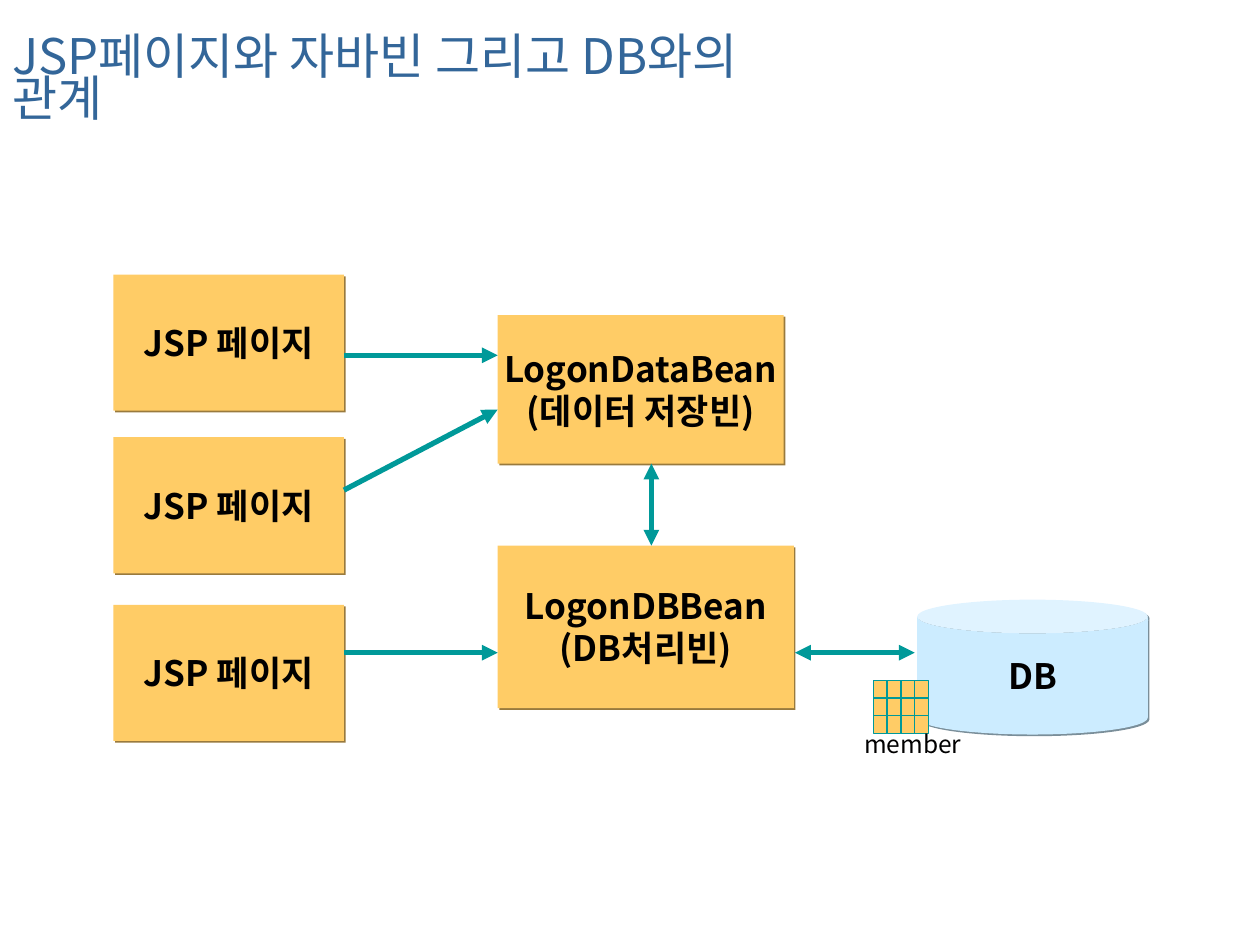
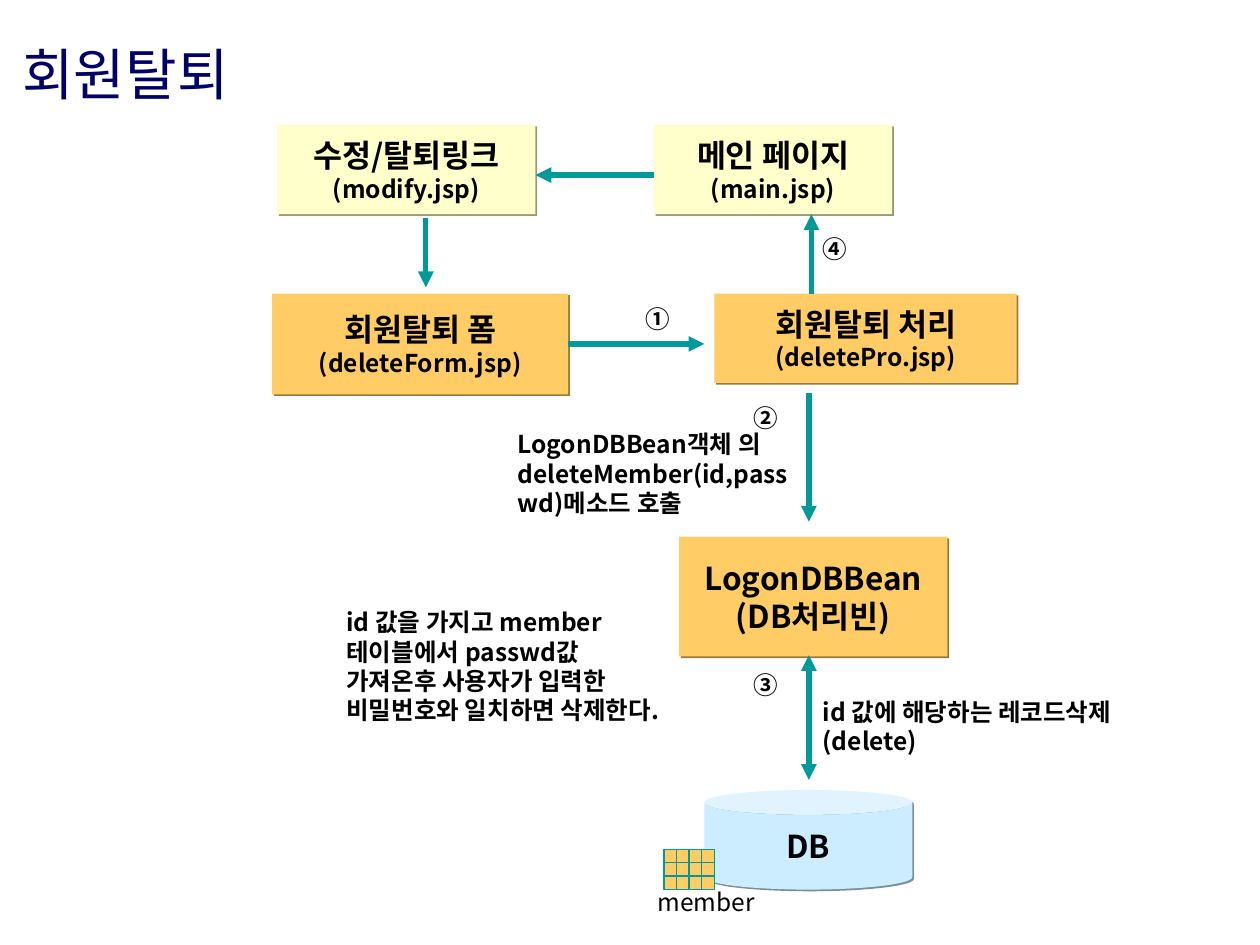
from dataclasses import dataclass
from itertools import product
from typing import NamedTuple

from lxml.etree import SubElement
from pptx import Presentation
from pptx.dml.color import RGBColor
from pptx.enum.shapes import MSO_CONNECTOR, MSO_SHAPE
from pptx.enum.text import MSO_ANCHOR, PP_ALIGN
from pptx.oxml.ns import qn
from pptx.util import Inches, Pt


@dataclass(frozen=True)
class Theme:
    font: str = "Noto Sans CJK KR"
    ink: str = "010000"
    teal: str = "009999"
    orange: str = "FFCC66"
    cream: str = "FFFFCC"
    sky: str = "CCECFF"
    steel_blue: str = "336699"
    navy: str = "000066"
    overview_title: int = 28
    flow_title: int = 32
    overview_label: int = 20
    flow_label: int = 18
    small: int = 14
    title_spacing: float = 0.7
    arrow_width: float = 3
    grid_width: float = 0.75
    shadow_offset: float = 1.4
    shadow_shade: float = 0.6


THEME = Theme()
SIDE_RIGHT = 3


class Area(NamedTuple):
    left: float
    top: float
    width: float
    height: float

    def lengths(self) -> list:
        return [Inches(value) for value in self]


class Line(NamedTuple):
    text: str
    size: int
    color: str = THEME.ink
    bold: bool = True


class Node(NamedTuple):
    area: Area
    lines: list[Line]
    fill: str = THEME.orange
    outline: MSO_SHAPE = MSO_SHAPE.RECTANGLE


class Arrow(NamedTuple):
    start: tuple[float, float]
    end: tuple[float, float]
    both_ways: bool = False


class Note(NamedTuple):
    area: Area
    line: Line
    inset_x: float = 0
    inset_y: float = 0.05


def rgb(color: str) -> RGBColor:
    return RGBColor.from_string(color)


def apply(target, formats: dict) -> None:
    for attribute, value in formats.items():
        setattr(target, attribute, value)


def write(frame, lines: list[Line], align=PP_ALIGN.LEFT, spacing=None,
          **formats) -> None:
    apply(frame, formats)
    for index, line in enumerate(lines):
        paragraph = frame.paragraphs[0] if index == 0 else frame.add_paragraph()
        apply(paragraph, {"alignment": align, "line_spacing": spacing})
        run = paragraph.add_run()
        run.text = line.text
        apply(run.font, {"name": THEME.font, "size": Pt(line.size),
                         "bold": line.bold})
        run.font.color.rgb = rgb(line.color)
        SubElement(run.font._element, qn("a:ea"), typeface=THEME.font)


def add_filled(slide, outline: MSO_SHAPE, area: Area, fill: str):
    shape = slide.shapes.add_shape(outline, *area.lengths())
    shape.shadow.inherit = False
    shape.fill.solid()
    shape.fill.fore_color.rgb = rgb(fill)
    return shape


def add_shadow(shape, fill: str) -> None:
    """Cast a hard diagonal shadow in a darker shade of the fill."""
    shade = "".join(f"{round(part * THEME.shadow_shade):02X}" for part in rgb(fill))
    effects = shape._element.spPr.find(qn("a:effectLst"))
    shadow = SubElement(effects, qn("a:outerShdw"), blurRad="0", algn="ctr",
                        dist=str(int(Pt(THEME.shadow_offset))),
                        dir="2700000", rotWithShape="0")
    SubElement(shadow, qn("a:srgbClr"), val=shade)


def add_node(slide, node: Node):
    shape = add_filled(slide, node.outline, node.area, node.fill)
    shape.line.fill.background()
    add_shadow(shape, node.fill)
    write(shape.text_frame, node.lines, PP_ALIGN.CENTER,
          vertical_anchor=MSO_ANCHOR.MIDDLE, word_wrap=False)
    return shape


def add_arrow(slide, arrow: Arrow):
    ends = [Inches(value) for value in (*arrow.start, *arrow.end)]
    connector = slide.shapes.add_connector(MSO_CONNECTOR.STRAIGHT, *ends)
    connector.line.width = Pt(THEME.arrow_width)
    connector.line.color.rgb = rgb(THEME.teal)
    properties = connector._element.spPr
    stroke = properties.find(qn("a:ln"))
    for tag in ("a:headEnd", "a:tailEnd") if arrow.both_ways else ("a:tailEnd",):
        SubElement(stroke, qn(tag), type="triangle")
    SubElement(properties, qn("a:effectLst"))
    return connector


def add_note(slide, note: Note) -> None:
    box = slide.shapes.add_textbox(*note.area.lengths())
    side, edge = Inches(note.inset_x), Inches(note.inset_y)
    write(box.text_frame, [note.line], word_wrap=True, margin_left=side,
          margin_right=side, margin_top=edge, margin_bottom=edge)


def add_title(slide, area: Area, line: Line) -> None:
    box = slide.shapes.add_textbox(*area.lengths())
    write(box.text_frame, [line], spacing=THEME.title_spacing,
          word_wrap=True, vertical_anchor=MSO_ANCHOR.MIDDLE)


def add_member_table(slide, grid: Area, caption: Area) -> None:
    """Draw the small table icon in front of the database, with its name."""
    rows, columns = 3, 4
    width, height = grid.width / columns, grid.height / rows
    for row, column in product(range(rows), range(columns)):
        area = Area(grid.left + column * width, grid.top + row * height,
                    width, height)
        cell = add_filled(slide, MSO_SHAPE.RECTANGLE, area, THEME.orange)
        cell.line.width = Pt(THEME.grid_width)
        cell.line.color.rgb = rgb(THEME.teal)
    add_note(slide, Note(caption, Line("member", THEME.small, bold=False), 0.1))


def build_overview(slide) -> None:
    def labels(*texts: str) -> list[Line]:
        return [Line(text, THEME.overview_label) for text in texts]

    pages = [Node(Area(0.9, top, 1.83, 1.08), labels("JSP 페이지"))
             for top in (2.18, 3.47, 4.8)]
    beans = [
        Node(Area(3.95, 2.5, 2.27, 1.18),
             labels("LogonDataBean", "(데이터 저장빈)")),
        Node(Area(3.95, 4.33, 2.35, 1.29), labels("LogonDBBean", "(DB처리빈)")),
    ]
    database = Node(Area(7.28, 4.76, 1.83, 1.07), labels("DB"), THEME.sky,
                    MSO_SHAPE.CAN)
    for node in (*pages, *beans, database):
        add_node(slide, node)
    for arrow in (
        Arrow((2.73, 2.82), (3.95, 2.82)),
        Arrow((2.73, 3.89), (3.95, 3.25)),
        Arrow((2.73, 5.18), (3.95, 5.18)),
        Arrow((5.17, 4.33), (5.17, 3.68), both_ways=True),
        Arrow((6.31, 5.18), (7.26, 5.18), both_ways=True),
    ):
        add_arrow(slide, arrow)
    add_member_table(slide, Area(6.93, 5.4, 0.44, 0.42),
                     Area(6.76, 5.74, 1.13, 0.34))
    add_title(slide, Area(0, 0.21, 6.42, 0.9),
              Line("JSP페이지와 자바빈 그리고 DB와의 관계", THEME.overview_title,
                   THEME.steel_blue, False))


def build_withdrawal(slide) -> None:
    def page(area: Area, name: str, file: str, fill: str = THEME.orange) -> Node:
        return Node(area, [Line(name, THEME.flow_label),
                           Line(file, THEME.small)], fill)

    form = add_node(slide, page(Area(2.16, 2.33, 2.35, 0.8), "회원탈퇴 폼",
                                "(deleteForm.jsp)"))
    for node in (
        page(Area(5.67, 2.33, 2.4, 0.71), "회원탈퇴 처리", "(deletePro.jsp)"),
        page(Area(2.2, 0.99, 2.05, 0.71), "수정/탈퇴링크", "(modify.jsp)",
             THEME.cream),
        page(Area(5.19, 0.99, 1.89, 0.71), "메인 페이지", "(main.jsp)",
             THEME.cream),
        Node(Area(5.39, 4.26, 2.13, 0.95),
             [Line(text, THEME.flow_label)
              for text in ("LogonDBBean", "(DB처리빈)")]),
        Node(Area(5.59, 6.27, 1.65, 0.79), [Line("DB", THEME.flow_label)],
             THEME.sky, MSO_SHAPE.CAN),
    ):
        add_node(slide, node)

    submit = add_arrow(slide, Arrow((4.51, 2.73), (5.59, 2.73)))
    submit.begin_connect(form, SIDE_RIGHT)
    for arrow in (
        Arrow((6.42, 3.12), (6.42, 4.14)),
        Arrow((6.42, 6.19), (6.42, 5.2), both_ways=True),
        Arrow((6.44, 2.33), (6.44, 1.7)),
        Arrow((5.19, 1.39), (4.25, 1.39)),
        Arrow((3.38, 1.73), (3.38, 2.28)),
    ):
        add_arrow(slide, arrow)

    for step, left, top in (("①", 5.12, 2.41), ("②", 5.98, 3.2),
                            ("③", 5.98, 5.32), ("④", 6.53, 1.86)):
        add_note(slide, Note(Area(left, top, 0.24, 0.23),
                             Line(step, THEME.small), inset_y=0))
    for area, text, inset in (
        (Area(4.01, 3.36, 2.36, 0.8),
         "LogonDBBean객체 의 deleteMember(id,passwd)메소드 호출", 0.1),
        (Area(2.75, 4.77, 2.6, 1.04),
         "id 값을 가지고 member 테이블에서 passwd값 가져온후 "
         "사용자가 입력한 비밀번호와 일치하면 삭제한다.", 0),
        (Area(6.53, 5.48, 2.6, 0.57), "id 값에 해당하는 레코드삭제(delete)", 0),
    ):
        add_note(slide, Note(area, Line(text, THEME.small), inset))
    add_member_table(slide, Area(5.27, 6.74, 0.4, 0.32),
                     Area(5.12, 6.99, 1.02, 0.34))
    add_title(slide, Area(0.08, 0.06, 4.11, 1.17),
              Line("회원탈퇴", THEME.flow_title, THEME.navy, False))


def main() -> None:
    deck = Presentation()
    apply(deck, {"slide_width": Inches(10), "slide_height": Inches(7.5)})
    blank = deck.slide_layouts[6]
    for build in (build_overview, build_withdrawal):
        build(deck.slides.add_slide(blank))
    deck.save("out.pptx")


if __name__ == "__main__":
    main()
